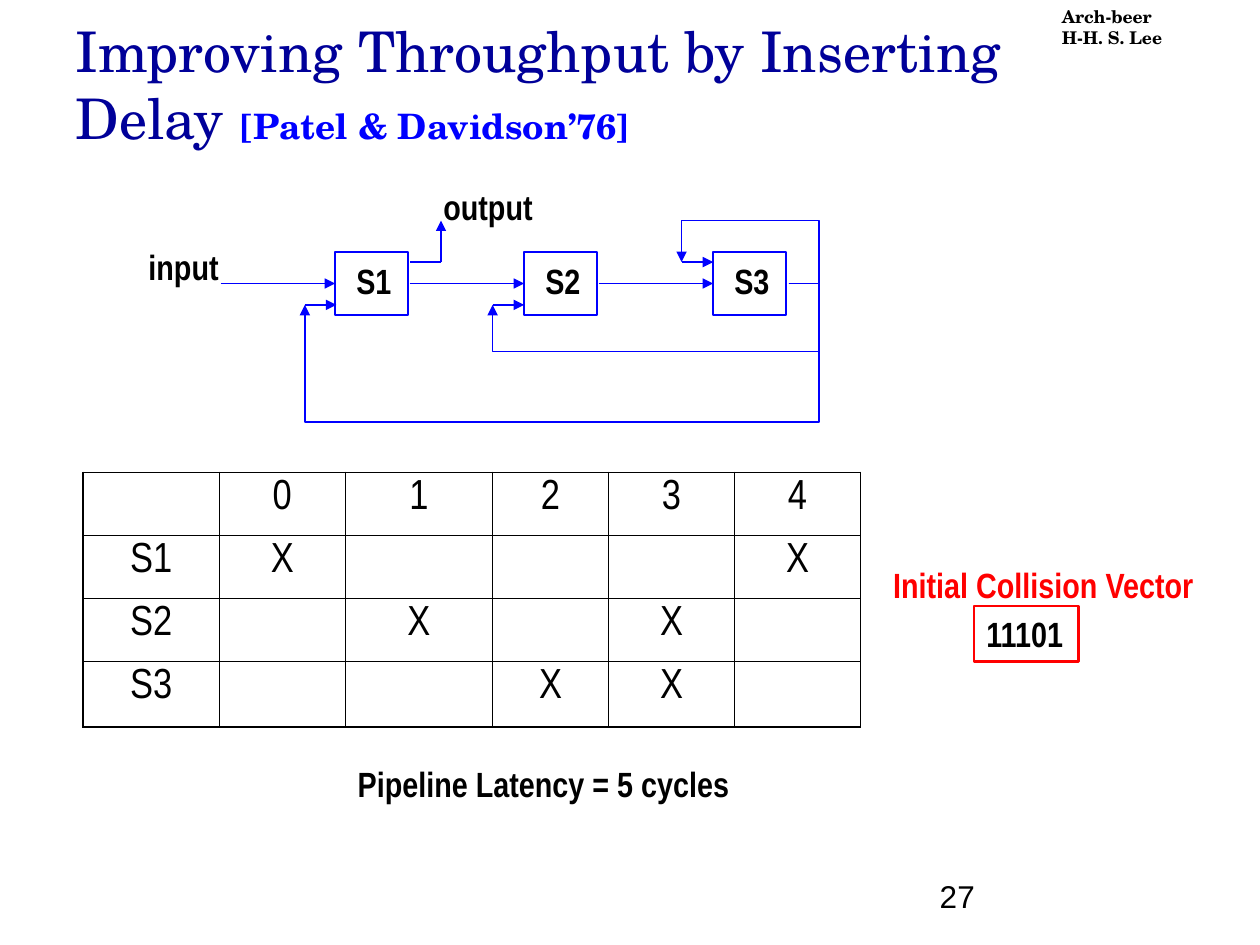
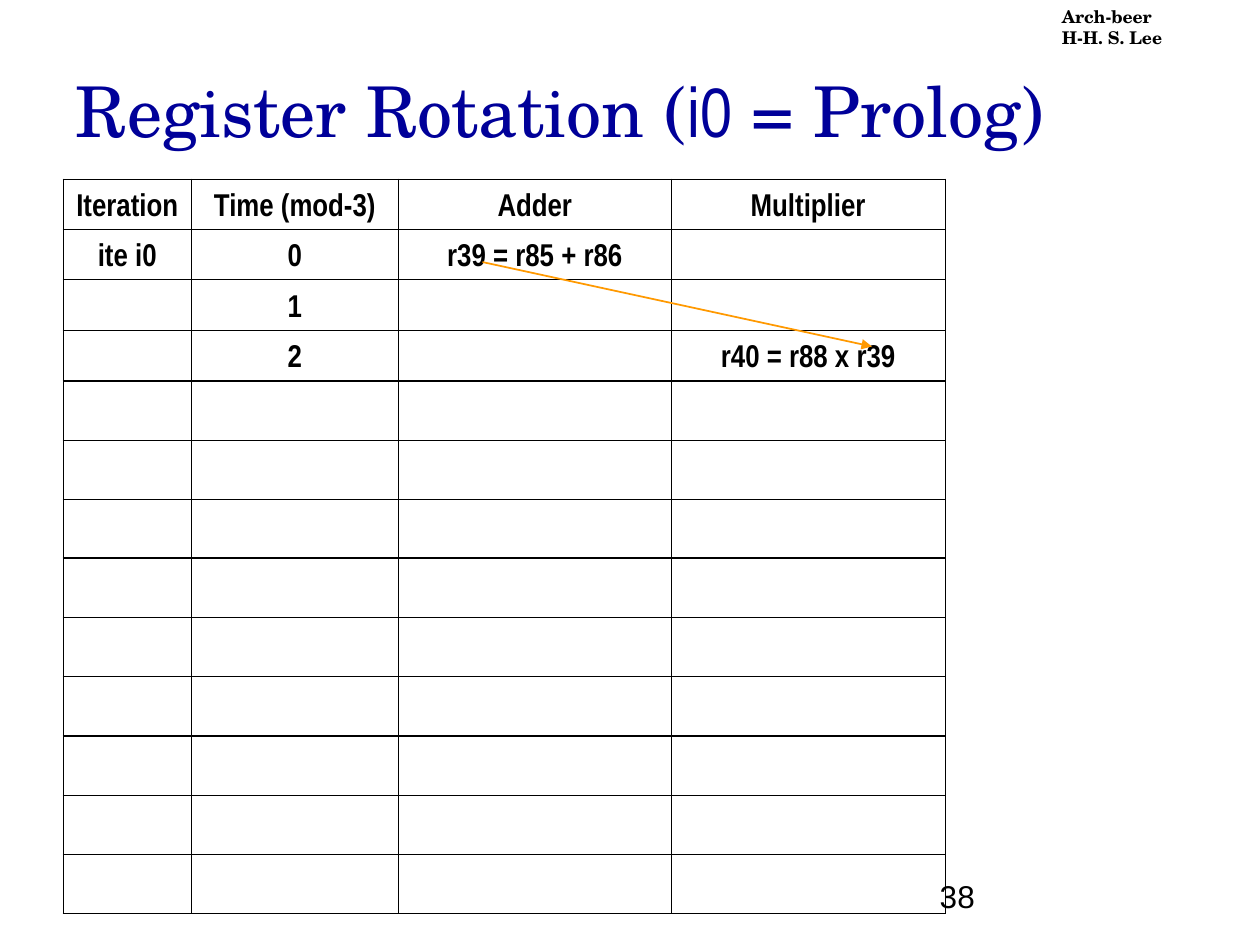
"""Builds two slides on pipeline collisions and register rotation."""
from lxml import etree
from pptx import Presentation
from pptx import util as u
from pptx.dml.color import RGBColor
from pptx.enum import shapes, text
from pptx.oxml.ns import qn

NAVY = RGBColor(0x00, 0x00, 0x99)
BLUE = RGBColor(0x00, 0x00, 0xFF)
RED = RGBColor(0xFF, 0x00, 0x00)
AMBER = RGBColor(0xFF, 0x99, 0x00)
BLACK = RGBColor(0x00, 0x00, 0x00)
SERIF, NARROW, SANS = "TeX Gyre Schola", "Arial Narrow", "Arial"
LEFT, CENTER = text.PP_ALIGN.LEFT, text.PP_ALIGN.CENTER
TOP, BOTTOM = text.MSO_ANCHOR.TOP, text.MSO_ANCHOR.BOTTOM
THIN, THICK = 0.45, 1.08


def write(frame, *lines, align=LEFT, before=0, **base):
    for i, line in enumerate(lines):
        par = frame.add_paragraph() if i else frame.paragraphs[0]
        par.alignment = align
        par.space_before = u.Pt(before)
        runs = [(line, {})] if isinstance(line, str) else line
        for words, extra in runs:
            look = {"size": 20, "font": NARROW, "color": BLACK, "bold": True, **base, **extra}
            run = par.add_run()
            run.text = words
            run.font.size = u.Pt(look["size"])
            run.font.name = look["font"]
            run.font.bold = look["bold"]
            run.font.color.rgb = look["color"]


def place(shape, *box):
    shape.left, shape.top, shape.width, shape.height = map(u.Inches, box)


class Deck:
    def __init__(self):
        self.prs = Presentation()
        self.prs.slide_width, self.prs.slide_height = u.Inches(10), u.Inches(7.5)
        self.slide = None

    def start(self, runs, size, page):
        self.slide = self.prs.slides.add_slide(self.prs.slide_layouts[5])
        self.label(8.33, 0, 1.67, 0.44, "Arch-beer", "H-H. S. Lee", wrap=True, size=10, font=SERIF)
        title = self.slide.shapes.title
        place(title, 0.5, 0.33, 8.5, 0.92)
        frame = title.text_frame
        frame.auto_size = text.MSO_AUTO_SIZE.NONE
        frame.word_wrap = True
        frame.vertical_anchor = BOTTOM
        write(frame, runs, size=size, font=SERIF, color=NAVY, bold=False)
        self.label(7.36, 6.81, 2.08, 0.5, str(page), wrap=True, anchor=BOTTOM,
                   size=18, font=SANS, bold=False)

    def label(self, x, y, w, h, *lines, wrap=False, anchor=TOP, **look):
        box = self.slide.shapes.add_textbox(*map(u.Inches, (x, y, w, h)))
        frame = box.text_frame
        frame.word_wrap = wrap
        frame.vertical_anchor = anchor
        if anchor == TOP:
            frame.auto_size = text.MSO_AUTO_SIZE.SHAPE_TO_FIT_TEXT
        write(frame, *lines, **look)

    def rect(self, x, y, w, h, color, *lines):
        box = self.slide.shapes.add_shape(
            shapes.MSO_SHAPE.RECTANGLE, *map(u.Inches, (x, y, w, h)))
        box.shadow.inherit = False
        box.fill.background()
        box.line.color.rgb = color
        box.line.width = u.Pt(1.5)
        box.text_frame.word_wrap = False
        box.text_frame.vertical_anchor = TOP
        write(box.text_frame, *lines)

    def line(self, start, end, color=BLUE, arrow=True, kind=shapes.MSO_CONNECTOR.STRAIGHT):
        link = self.slide.shapes.add_connector(kind, *map(u.Inches, (*start, *end)))
        link.line.color.rgb = color
        link.line.width = u.Pt(1)
        if arrow:
            etree.SubElement(link.line._get_or_add_ln(), qn("a:tailEnd"), type="triangle")
        etree.SubElement(link._element.spPr, qn("a:effectLst"))
        return link

    def loop(self, start, end, bend):
        link = self.line(start, end, kind=shapes.MSO_CONNECTOR.ELBOW)
        geom = link._element.spPr.find(qn("a:prstGeom"))
        geom.set("prst", "bentConnector4")
        guides = geom.find(qn("a:avLst"))
        if guides is None:
            guides = etree.SubElement(geom, qn("a:avLst"))
        for i, (a, b, mid) in enumerate(zip(start, end, bend), 1):
            ratio = round((mid - a) / (b - a) * 100000)
            etree.SubElement(guides, qn("a:gd"), name=f"adj{i}", fmla=f"val {ratio}")

    def table(self, x, y, cols, rows, data, bars, posts=(), anchor=TOP, **look):
        size = map(u.Inches, (x, y, sum(cols), sum(rows)))
        grid = self.slide.shapes.add_table(len(rows), len(cols), *size).table
        grid.first_row = grid.horz_banding = False
        for col, width in zip(grid.columns, cols):
            col.width = u.Inches(width)
        for row, height in zip(grid.rows, rows):
            row.height = u.Inches(height)
        for r in range(len(rows)):
            for c in range(len(cols)):
                cell = grid.cell(r, c)
                cell.fill.background()
                cell.vertical_anchor = anchor
                edges = {"L": c in posts, "R": c + 1 in posts, "T": r in bars, "B": r + 1 in bars}
                self.edge(cell, edges)
                if data.get((r, c)):
                    write(cell.text_frame, data[r, c], align=CENTER, **look)

    def edge(self, cell, edges):
        props = cell._tc.get_or_add_tcPr()
        for i, (side, heavy) in enumerate(edges.items()):
            width = u.Pt(THICK if heavy else THIN)
            ln = etree.Element(qn(f"a:ln{side}"), w=str(int(width)))
            fill = etree.SubElement(ln, qn("a:solidFill"))
            etree.SubElement(fill, qn("a:srgbClr"), val=str(BLACK))
            props.insert(i, ln)


def delay(deck):
    deck.start([("Improving Throughput by Inserting Delay ", {}),
                ("[Patel & Davidson’76]", {"size": 20, "color": BLUE, "bold": True})], 32, 27)
    mid, high, low = 2.25, 2.08, 2.42
    for i in range(3):
        x = 2.66 + 1.5 * i
        deck.rect(x, 2, 0.58, 0.5, BLUE)
        deck.label(x + 0.07, 2.01, 0.48, 0.44, f"S{i + 1}")
        deck.line((x - 0.91, mid), (x, mid))
    for x, y in ((3.91, low), (5.41, high), (2.42, low)):
        deck.line((x, y), (x + 0.25, y))
    for x, y, turn in ((3.91, low, 2.79), (5.41, high, 1.75), (2.42, low, 3.35)):
        deck.loop((6.26, mid), (x, y), (6.5, turn))
    deck.line((3.5, high), (3.5, 1.75))
    deck.line((3.5, high), (3.25, high), arrow=False)
    deck.label(1.08, 1.9, 0.76, 0.44, "input")
    deck.label(3.42, 1.42, 0.91, 0.44, "output")

    data = {(0, t + 1): str(t) for t in range(5)}
    for r, times in enumerate(((0, 4), (1, 3), (2, 3)), 1):
        data[r, 0] = f"S{r}"
        data.update({(r, t + 1): "X" for t in times})
    deck.table(0.66, 3.75, (1.08, 1, 1.17, 0.92, 1, 1), (0.5, 0.5, 0.5, 0.52), data,
               bars=(0, 4), posts=(0, 6), size=24, bold=False, before=6)
    deck.label(2.74, 6, 3.21, 0.44, "Pipeline Latency = 5 cycles")
    deck.rect(7.73, 4.81, 0.83, 0.44, RED, "11101")
    deck.label(6.99, 4.42, 2.59, 0.44, "Initial Collision Vector", color=RED)


def rotate(deck):
    deck.start([("Register Rotation (", {}), ("i0", {"font": NARROW}), (" = Prolog)", {})], 40, 38)
    lines = (("Iteration", "Time (mod-3)", "Adder", "Multiplier"),
             ("ite i0", "0", "r39 = r85 + r86", ""),
             ("", "1", "", ""),
             ("", "2", "", "r40 = r88 x r39"))
    data = {(r, c): word for r, line in enumerate(lines) for c, word in enumerate(line)}
    deck.table(0.5, 1.42, (1.02, 1.64, 2.17, 2.17), [0.4] * 4 + [0.47] * 9, data,
               bars=(4, 7, 10, 13), anchor=BOTTOM, size=18)
    deck.line((3.83, 2.08), (6.92, 2.75), AMBER)


def main():
    deck = Deck()
    delay(deck)
    rotate(deck)
    deck.prs.save("out.pptx")


if __name__ == "__main__":
    main()
